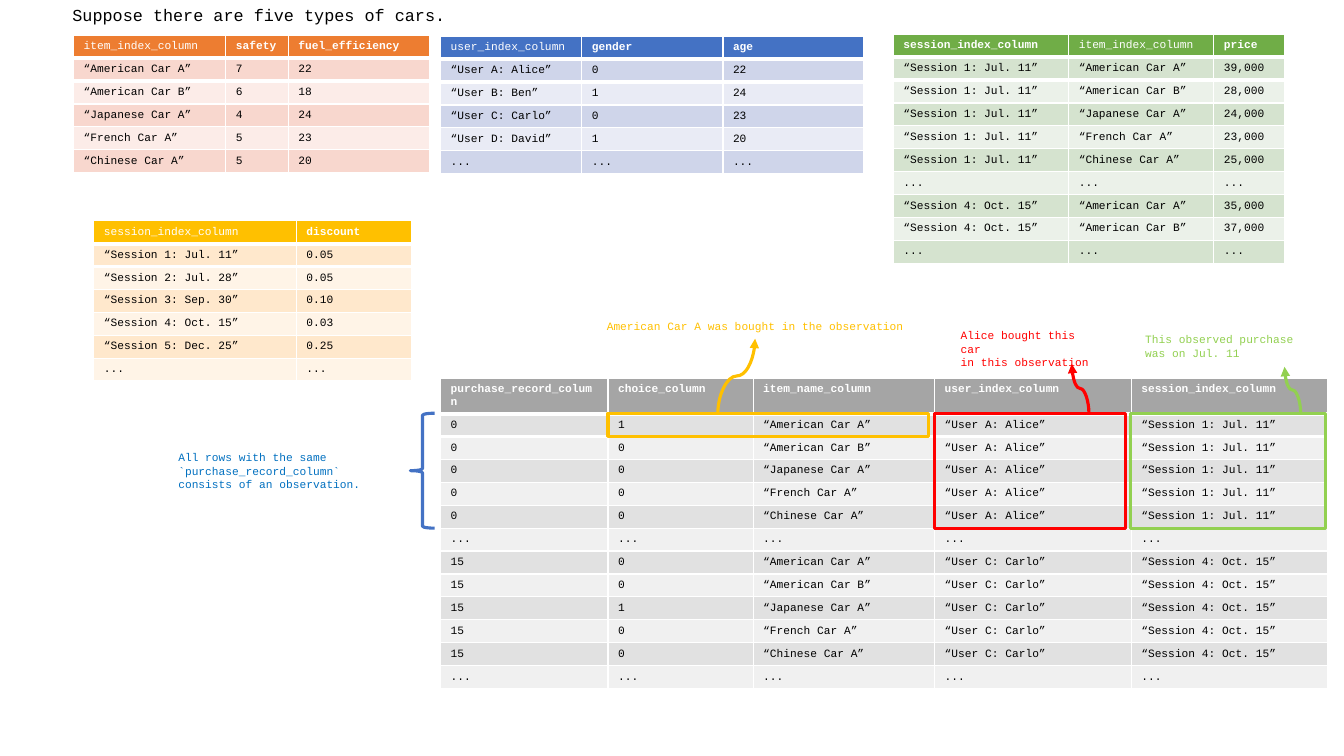
from lxml.etree import SubElement
from pptx import Presentation
from pptx.dml.color import RGBColor
from pptx.enum.shapes import MSO_CONNECTOR, MSO_SHAPE
from pptx.enum.text import MSO_AUTO_SIZE, PP_ALIGN
from pptx.oxml.ns import qn
from pptx.util import Inches, Pt

FONT = "Courier New"
LINE_WIDTH = Pt(2.25)
COLORS = {
    "black": "000000", "white": "FFFFFF", "note": "0070C0",
    "item": "ED7D31", "item_dark": "F8D7CE", "item_light": "FCECE8",
    "user": "4472C4", "user_dark": "CFD5EA", "user_light": "E9EBF5",
    "session": "FFC000", "session_dark": "FFE8CC", "session_light": "FFF4E7",
    "price": "70AD47", "price_dark": "D5E3CF", "price_light": "EBF1E9",
    "purchase": "A5A5A5", "purchase_dark": "E1E1E1", "purchase_light": "F0F0F0",
    "choice": "FFC000", "buyer": "FF0000", "date": "92D050",
}
CARS = [f"“{car}”" for car in ("American Car A", "American Car B", "Japanese Car A",
                               "French Car A", "Chinese Car A")]
JULY, OCTOBER = "“Session 1: Jul. 11”", "“Session 4: Oct. 15”"
ALICE, CARLO = "“User A: Alice”", "“User C: Carlo”"
# The first observation starts below the two-line header of the purchase table.
OBSERVATION_TOP, CHOICE_HEIGHT, OBSERVATION_HEIGHT = 4.1, 0.23, 1.14


def rgb(name):
    return RGBColor.from_string(COLORS[name])


def more(columns):
    return ("...",) * columns


def purchases(record, bought, user, session):
    """Rows of one observation, one per car, with 1 for the bought car."""
    return [(record, str(int(index == bought)), car, user, session)
            for index, car in enumerate(CARS)]


def style_text(paragraph, color, size=8, bold=False):
    paragraph.alignment = PP_ALIGN.LEFT
    for run in paragraph.runs:
        run.font.name = FONT
        run.font.size = Pt(size)
        run.font.bold = bold
        run.font.color.rgb = rgb(color)


def rule_cell(cell, side):
    """Thick white border on one side, set before the cell gets its fill."""
    border = SubElement(cell._tc.get_or_add_tcPr(), qn(f"a:{side}"), w=str(Pt(3)))
    SubElement(SubElement(border, qn("a:solidFill")), qn("a:srgbClr"), val=COLORS["white"])


def data_table(slide, box, theme, widths, header, rows, plain=0):
    """Banded table; the header is bold except in the column numbered plain."""
    left, top, width, height = map(Inches, box)
    frame = slide.shapes.add_table(len(rows) + 1, len(widths), left, top, width, height)
    table = frame.table
    for column, column_width in zip(table.columns, widths):
        column.width = Inches(column_width)
    for row in table.rows:
        row.height = 0  # rows grow to fit their text
    frame.height = height
    for r, values in enumerate([header, *rows]):
        is_header = r == 0
        fill = theme if is_header else theme + ("_dark" if r % 2 else "_light")
        for c, value in enumerate(values):
            cell = table.cell(r, c)
            if r < 2:
                rule_cell(cell, "lnB" if is_header else "lnT")
            cell.fill.solid()
            cell.fill.fore_color.rgb = rgb(fill)
            cell.text_frame.text = value
            style_text(cell.text_frame.paragraphs[0], "white" if is_header else "black",
                       bold=is_header and c != plain)


def label(slide, box, text, color, size=8, wrap=True):
    frame = slide.shapes.add_textbox(*map(Inches, box)).text_frame
    frame.word_wrap = wrap
    frame.auto_size = MSO_AUTO_SIZE.SHAPE_TO_FIT_TEXT
    frame.text = text
    for paragraph in frame.paragraphs:
        style_text(paragraph, color, size)


def outline(slide, left, width, color, height=OBSERVATION_HEIGHT, preset=MSO_SHAPE.RECTANGLE):
    """Unfilled shape that starts at the first row of the observation."""
    box = (left, OBSERVATION_TOP, width, height)
    shape = slide.shapes.add_shape(preset, *map(Inches, box))
    shape.shadow.inherit = False
    shape.fill.background()
    shape.line.color.rgb = rgb(color)
    shape.line.width = LINE_WIDTH


def rising_arrow(slide, x1, end, color):
    """Curved arrow up from the observation: a sideways curve turned by 270 degrees."""
    y1 = OBSERVATION_TOP
    x2, y2 = end
    center_x, center_y = (x1 + x2) / 2, (y1 + y2) / 2
    half_rise, half_run = (y1 - y2) / 2, (x2 - x1) / 2
    arrow = slide.shapes.add_connector(
        MSO_CONNECTOR.CURVE,
        Inches(center_x - half_rise), Inches(center_y - half_run),
        Inches(center_x + half_rise), Inches(center_y + half_run))
    arrow.line.color.rgb = rgb(color)
    arrow.line.width = LINE_WIDTH
    properties = arrow._element.spPr
    properties.find(qn("a:xfrm")).set("rot", str(270 * 60000))
    SubElement(properties.find(qn("a:ln")), qn("a:tailEnd"), type="triangle")
    SubElement(properties, qn("a:effectLst"))


def source_tables(slide):
    data_table(slide, (4.37, 0.36, 4.2, 1.4), "user", (1.4, 1.4, 1.4),
               ("user_index_column", "gender", "age"),
               [(ALICE, "0", "22"), ("“User B: Ben”", "1", "24"), (CARLO, "0", "23"),
                ("“User D: David”", "1", "20"), more(3)])
    data_table(slide, (0.73, 0.35, 3.53, 1.4), "item", (1.51, 0.62, 1.4),
               ("item_index_column", "safety", "fuel_efficiency"),
               list(zip(CARS, "76455", ("22", "18", "24", "23", "20"))))
    data_table(slide, (0.93, 2.19, 3.15, 1.63), "session", (2.01, 1.14),
               ("session_index_column", "discount"),
               [(JULY, "0.05"), ("“Session 2: Jul. 28”", "0.05"),
                ("“Session 3: Sep. 30”", "0.10"), (OCTOBER, "0.03"),
                ("“Session 5: Dec. 25”", "0.25"), more(2)])
    july_prices = ("39,000", "28,000", "24,000", "23,000", "25,000")
    data_table(slide, (8.86, 0.34, 3.88, 2.33), "price", (1.74, 1.44, 0.7),
               ("session_index_column", "item_index_column", "price"),
               [(JULY, car, price) for car, price in zip(CARS, july_prices)]
               + [more(3), (OCTOBER, CARS[0], "35,000"), (OCTOBER, CARS[1], "37,000"), more(3)],
               plain=1)


def purchase_table(slide):
    data_table(slide, (4.37, 3.75, 8.81, 3.03), "purchase", (1.66, 1.44, 1.8, 1.95, 1.95),
               ("purchase_record_column", "choice_column", "item_name_column",
                "user_index_column", "session_index_column"),
               purchases("0", 0, ALICE, JULY) + [more(5)]
               + purchases("15", 2, CARLO, OCTOBER) + [more(5)], plain=None)


def annotations(slide):
    outline(slide, 6.03, 3.18, "choice", height=CHOICE_HEIGHT)
    outline(slide, 4.07, 0.24, "user", preset=MSO_SHAPE.LEFT_BRACE)
    label(slide, (1.67, 4.42, 2.32, 0.5),
          "All rows with the same `purchase_record_column` consists of an observation.", "note")
    rising_arrow(slide, 7.12, (7.49, 3.36), "choice")
    label(slide, (5.92, 3.12, 3.2, 0.24), "American Car A was bought in the observation",
          "choice", wrap=False)
    outline(slide, 9.27, 1.89, "buyer")
    rising_arrow(slide, 10.8, (10.63, 3.61), "buyer")
    label(slide, (9.43, 3.21, 1.6, 0.37), "Alice bought this car\nin this observation",
          "buyer", wrap=False)
    outline(slide, 11.21, 1.94, "date")
    rising_arrow(slide, 12.9, (12.74, 3.64), "date")
    label(slide, (11.26, 3.25, 1.69, 0.37), "This observed purchase was on Jul. 11", "date")


def main():
    deck = Presentation()
    deck.slide_width, deck.slide_height = Inches(13.33), Inches(7.5)
    slide = deck.slides.add_slide(deck.slide_layouts[6])
    source_tables(slide)
    purchase_table(slide)
    label(slide, (0.62, 0, 3.96, 0.3), "Suppose there are five types of cars.",
          "black", size=12, wrap=False)
    annotations(slide)
    deck.save("out.pptx")


if __name__ == "__main__":
    main()
